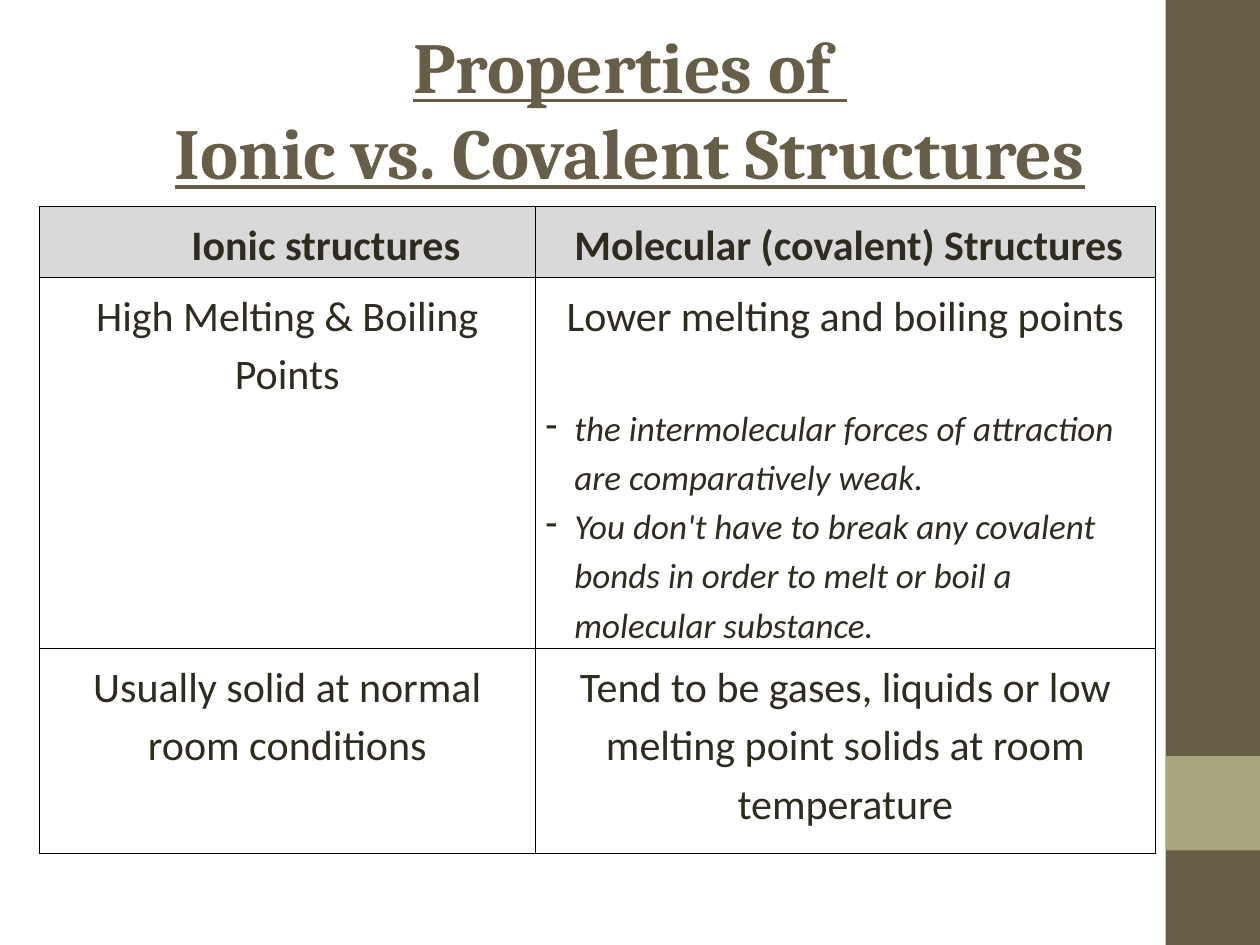
from dataclasses import dataclass
from typing import Optional

from lxml.etree import SubElement
from pptx import Presentation
from pptx.dml.color import RGBColor
from pptx.enum.shapes import MSO_SHAPE as Shape
from pptx.enum.text import MSO_ANCHOR as Anchor, PP_ALIGN as Align
from pptx.oxml.ns import qn
from pptx.util import Inches, Pt

COLORS = {"brown": "675E47", "olive": "A9A57C", "text": "2F2B20",
          "header": "D9D9D9", "border": "000000"}


@dataclass
class Band:
    top: float
    height: float
    color: str


@dataclass
class Para:
    text: str
    size: float = 24
    bold: bool = False
    italic: bool = False
    align: Align = Align.CENTER
    indent: float = 0
    bullet: Optional[str] = None
    before: float = 0


def header(text: str, indent: float) -> Para:
    return Para(text, bold=True, align=Align.LEFT, indent=indent)


def point(text: str, before: float = 0) -> Para:
    return Para(text, size=20, italic=True, align=Align.LEFT,
                indent=0.23, bullet="-", before=before)


BANDS = [Band(0, 7.5, "brown"), Band(6, 0.75, "olive")]
COL_WIDTHS = [3.94, 4.92]
ROW_HEIGHTS = [0.54, 2.89, 1.63]
ROWS = [
    [[header("Ionic structures", 1.13)],
     [header("Molecular (covalent) Structures", 0.23)]],
    [[Para("High Melting & Boiling Points")],
     [Para("Lower melting and boiling points"),
      point("the intermolecular forces of attraction are comparatively weak.",
            before=33.6),
      point("You don't have to break any covalent bonds in order to melt "
            "or boil a molecular substance.")]],
    [[Para("Usually solid at normal room conditions")],
     [Para("Tend to be gases, liquids or low melting point solids "
           "at room temperature")]],
]


def rgb(name: str) -> RGBColor:
    return RGBColor.from_string(COLORS[name])


def set_font(font, color: str, **values) -> None:
    for name, value in values.items():
        setattr(font, name, value)
    font.color.rgb = rgb(color)


def add_band(slide, band: Band) -> None:
    sp = slide.shapes.add_shape(Shape.RECTANGLE, Inches(9.25), Inches(band.top),
                                Inches(0.75), Inches(band.height))
    sp.shadow.inherit = False
    sp.fill.solid()
    sp.fill.fore_color.rgb = rgb(band.color)
    sp.line.fill.background()


def add_title(slide, text: str) -> None:
    tb = slide.shapes.add_textbox(Inches(0.4), Inches(0.23),
                                  Inches(9.2), Inches(1.25))
    tf = tb.text_frame
    tf.word_wrap = True
    tf.vertical_anchor = Anchor.MIDDLE
    p = tf.paragraphs[0]
    p.text = text
    p.alignment = Align.CENTER
    for r in p.runs:
        set_font(r.font, "brown", name="Cambria", size=Pt(41),
                 bold=True, underline=True)


def write_para(p, para: Para) -> None:
    p.alignment = para.align
    p.line_spacing = 1.15
    p.space_before = Pt(para.before)
    pPr = p._p.get_or_add_pPr()
    pPr.set("marL", str(Inches(para.indent)))
    if para.bullet:
        pPr.set("indent", str(-Inches(para.indent)))
        SubElement(pPr, qn("a:buChar"), char=para.bullet)
    r = p.add_run()
    r.text = para.text
    set_font(r.font, "text", name="Calibri", size=Pt(para.size),
             bold=para.bold, italic=para.italic)


def add_borders(cell) -> None:
    tcPr = cell._tc.get_or_add_tcPr()
    for side in ("lnL", "lnR", "lnT", "lnB"):
        ln = SubElement(tcPr, qn(f"a:{side}"), w=str(Pt(0.45)))
        fill = SubElement(ln, qn("a:solidFill"))
        SubElement(fill, qn("a:srgbClr"), val=COLORS["border"])


def fill_cell(cell, paras: list[Para], is_header: bool) -> None:
    margins = {"margin_left": 0.08, "margin_right": 0.08,
               "margin_top": 0.05, "margin_bottom": 0.05}
    for name, value in margins.items():
        setattr(cell, name, Inches(value))
    add_borders(cell)
    if is_header:
        cell.fill.solid()
        cell.fill.fore_color.rgb = rgb("header")
    else:
        cell.fill.background()
    tf = cell.text_frame
    for i, para in enumerate(paras):
        write_para(tf.add_paragraph() if i else tf.paragraphs[0], para)


def add_comparison(slide) -> None:
    table = slide.shapes.add_table(
        len(ROWS), len(COL_WIDTHS), Inches(0.31), Inches(1.64),
        Inches(sum(COL_WIDTHS)), Inches(sum(ROW_HEIGHTS))).table
    table.first_row = table.horz_banding = False
    for col, width in zip(table.columns, COL_WIDTHS):
        col.width = Inches(width)
    for i, (row, height) in enumerate(zip(table.rows, ROW_HEIGHTS)):
        row.height = Inches(height)
        for cell, paras in zip(row.cells, ROWS[i]):
            fill_cell(cell, paras, is_header=i == 0)


def main() -> None:
    prs = Presentation()
    prs.slide_width, prs.slide_height = Inches(10), Inches(7.5)
    slide = prs.slides.add_slide(prs.slide_layouts[6])
    # Side bands
    for band in BANDS:
        add_band(slide, band)
    # Title and comparison table
    add_title(slide, "Properties of \vIonic vs. Covalent Structures")
    add_comparison(slide)
    prs.save("out.pptx")


if __name__ == "__main__":
    main()
